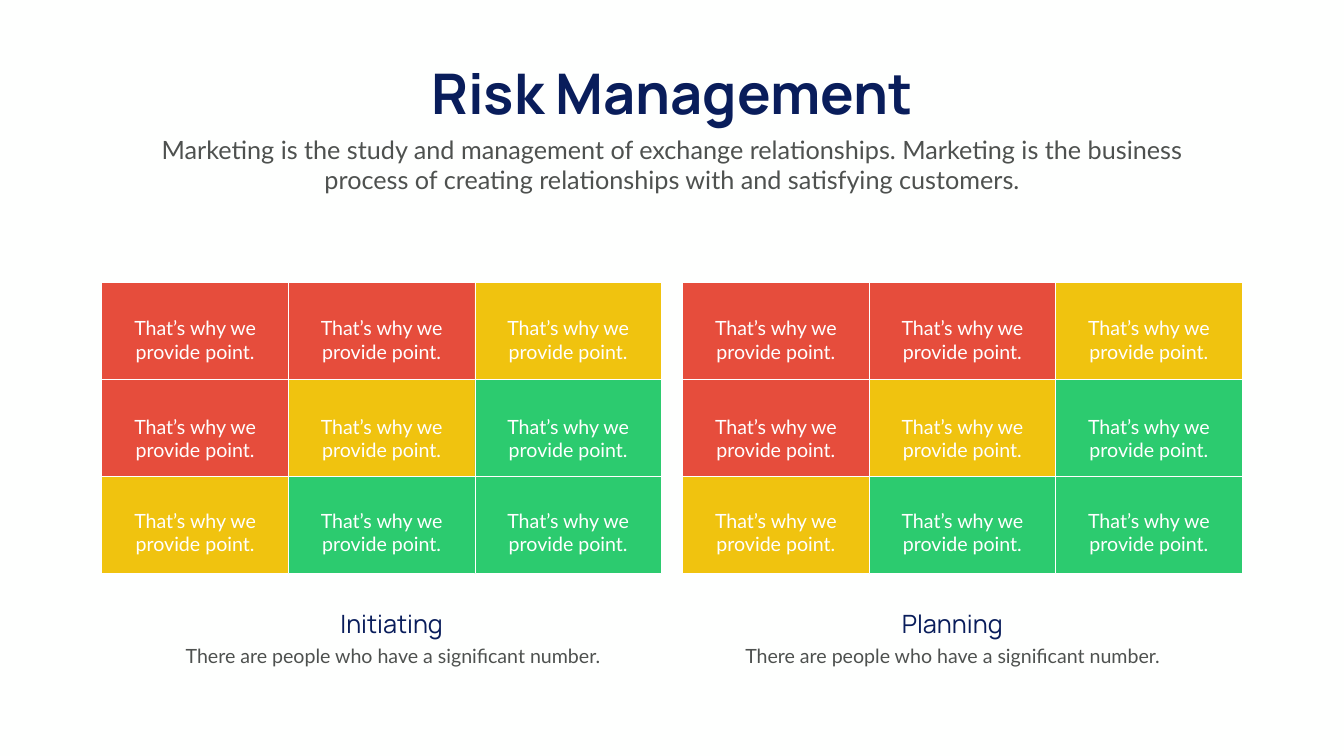
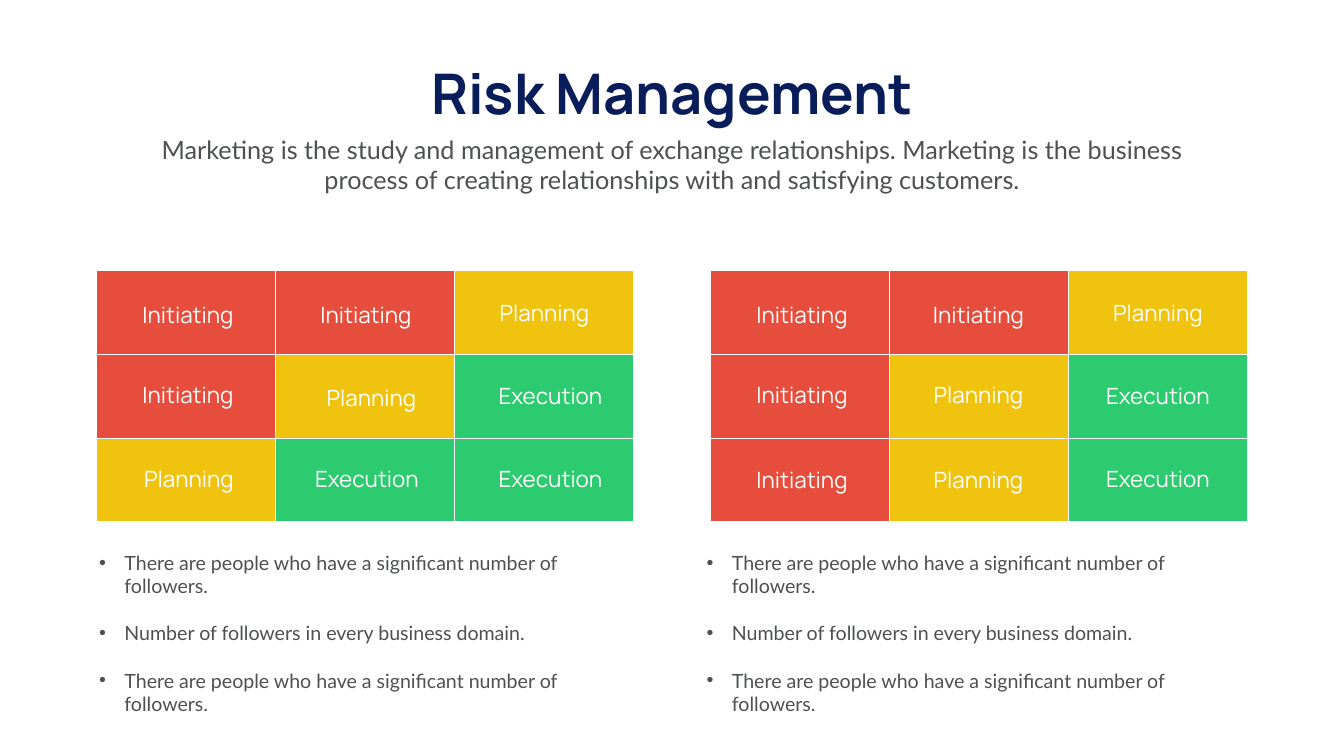
from lxml.etree import SubElement
from pptx import Presentation
from pptx.dml.color import RGBColor
from pptx.enum.shapes import MSO_SHAPE
from pptx.enum.text import MSO_ANCHOR, MSO_AUTO_SIZE, PP_ALIGN
from pptx.oxml.ns import qn
from pptx.util import Pt

PX = 9144  # 100 px to the inch
HEADING_FONT, BODY_FONT = "Manrope", "Lato"
PAPER = RGBColor(0xFE, 0xFF, 0xFE)
WHITE = RGBColor(0xFF, 0xFF, 0xFF)
NAVY = RGBColor(0x09, 0x1D, 0x5B)
GREY = RGBColor(0x4E, 0x51, 0x4F)
PHASE_COLORS = {
    "Initiating": RGBColor(0xE6, 0x4D, 0x3C),
    "Planning": RGBColor(0xF0, 0xC3, 0x0F),
    "Execution": RGBColor(0x2C, 0xCB, 0x6F),
}
INTRO = ("Marketing is the study and management of exchange relationships. "
         "Marketing is the business process of creating relationships with "
         "and satisfying customers.")


def add_text(shapes, box, *lines, size=28, font=BODY_FONT, color=GREY, bold=False,
             align=PP_ALIGN.CENTER, wrap=True, bullet=None, gap=0, shape=None):
    """Write lines into a new text box, or into the given placeholder."""
    left, top, width, height = [value * PX for value in box]
    if shape is None:
        shape = shapes.add_textbox(left, top, width, height)
    else:
        shape.left, shape.top, shape.width, shape.height = left, top, width, height
    frame = shape.text_frame
    frame.word_wrap = wrap
    frame.auto_size = MSO_AUTO_SIZE.SHAPE_TO_FIT_TEXT
    frame.vertical_anchor = MSO_ANCHOR.TOP
    for index, line in enumerate(lines):
        paragraph = frame.add_paragraph() if index else frame.paragraphs[0]
        paragraph.text = line
        paragraph.alignment = align
        if index:
            paragraph.space_before = Pt(gap)
        if bullet:
            properties = paragraph._p.get_or_add_pPr()
            properties.set("marL", str(50 * PX))
            properties.set("indent", str(-50 * PX))
            SubElement(properties, qn("a:buFont"), typeface="Arial")
            SubElement(properties, qn("a:buChar"), char=bullet)
        run_font = paragraph.runs[0].font
        run_font.size, run_font.name, run_font.bold = Pt(size), font, bold
        run_font.color.rgb = color


def add_tiles(shapes, left, top, width, height, phases):
    """Draw a grid of tiles coloured by phase."""
    for row, names in enumerate(phases):
        for column, name in enumerate(names):
            tile = shapes.add_shape(
                MSO_SHAPE.RECTANGLE, round((left + column * width) * PX),
                round((top + row * height) * PX), round(width * PX), round(height * PX))
            tile.shadow.inherit = False
            tile.fill.solid()
            tile.fill.fore_color.rgb = PHASE_COLORS[name]
            tile.line.color.rgb = WHITE
            tile.line.width = Pt(1)


presentation = Presentation()
presentation.slide_width, presentation.slide_height = 2666 * PX, 1500 * PX
background = presentation.slide_master.background.fill
background.solid()
background.fore_color.rgb = PAPER

# Both slides: title and introduction
slides = []
for _ in range(2):
    slide = presentation.slides.add_slide(presentation.slide_layouts[5])
    add_text(slide.shapes, (799, 112, 1068, 145), "Risk Management", size=80,
             font=HEADING_FONT, color=NAVY, bold=True, wrap=False, shape=slide.shapes.title)
    add_text(slide.shapes, (292, 261, 2082, 131), INTRO, size=36)
    slides.append(slide)
points_slide, phases_slide = slides

# Slide 1: two boards with the same point in every tile
diagonal = [("Initiating", "Initiating", "Planning"),
            ("Initiating", "Planning", "Execution"),
            ("Planning", "Execution", "Execution")]
for left in (202, 1354):
    board = points_slide.shapes.add_group_shape().shapes
    add_tiles(board, left, 561, 370, 192.5, diagonal)
    for top in (622, 818, 1004):
        for column in range(3):
            add_text(board, (left + 43 + column * 370, top, 284, 77),
                     "That’s why we provide point.", color=WHITE)

# Slide 1: captions under the boards
for heading, heading_left, note_left in (("Initiating", 612, 308), ("Planning", 1724, 1418)):
    caption = points_slide.shapes.add_group_shape().shapes
    add_text(caption, (heading_left, 1203, 330, 71), heading,
             size=36, font=HEADING_FONT, color=NAVY)
    add_text(caption, (note_left, 1273, 943, 57),
             "There are people who have a significant number.")

# Slide 2: boards of named phases, each label with its left and top
boards = [
    (191, 187, [
        [("Initiating", 228, 593), ("Initiating", 581, 593), ("Planning", 935, 588)],
        [("Initiating", 228, 752), ("Planning", 592, 758), ("Execution", 947, 754)],
        [("Planning", 230, 917), ("Execution", 583, 918), ("Execution", 947, 918)]]),
    (1409, 1392, [
        [("Initiating", 1446, 593), ("Initiating", 1796, 593), ("Planning", 2152, 588)],
        [("Initiating", 1446, 752), ("Planning", 1796, 752), ("Execution", 2152, 753)],
        [("Initiating", 1446, 920), ("Planning", 1796, 920), ("Execution", 2152, 918)]]),
]
followers = "There are people who have a significant number of followers."
for tiles_left, list_left, rows in boards:
    board = phases_slide.shapes.add_group_shape().shapes
    add_tiles(board, tiles_left, 537, 355.3, 166,
              [[name for name, _, _ in row] for row in rows])
    add_text(phases_slide.shapes, (list_left, 1088, 1101, 246), followers,
             "Number of followers in every business domain.", followers,
             align=PP_ALIGN.LEFT, bullet="•", gap=33.6)
    for row in rows:
        for name, left, top in row:
            add_text(phases_slide.shapes, (left, top, 290, 64), name,
                     size=32, font=HEADING_FONT, color=WHITE)

presentation.save("out.pptx")
